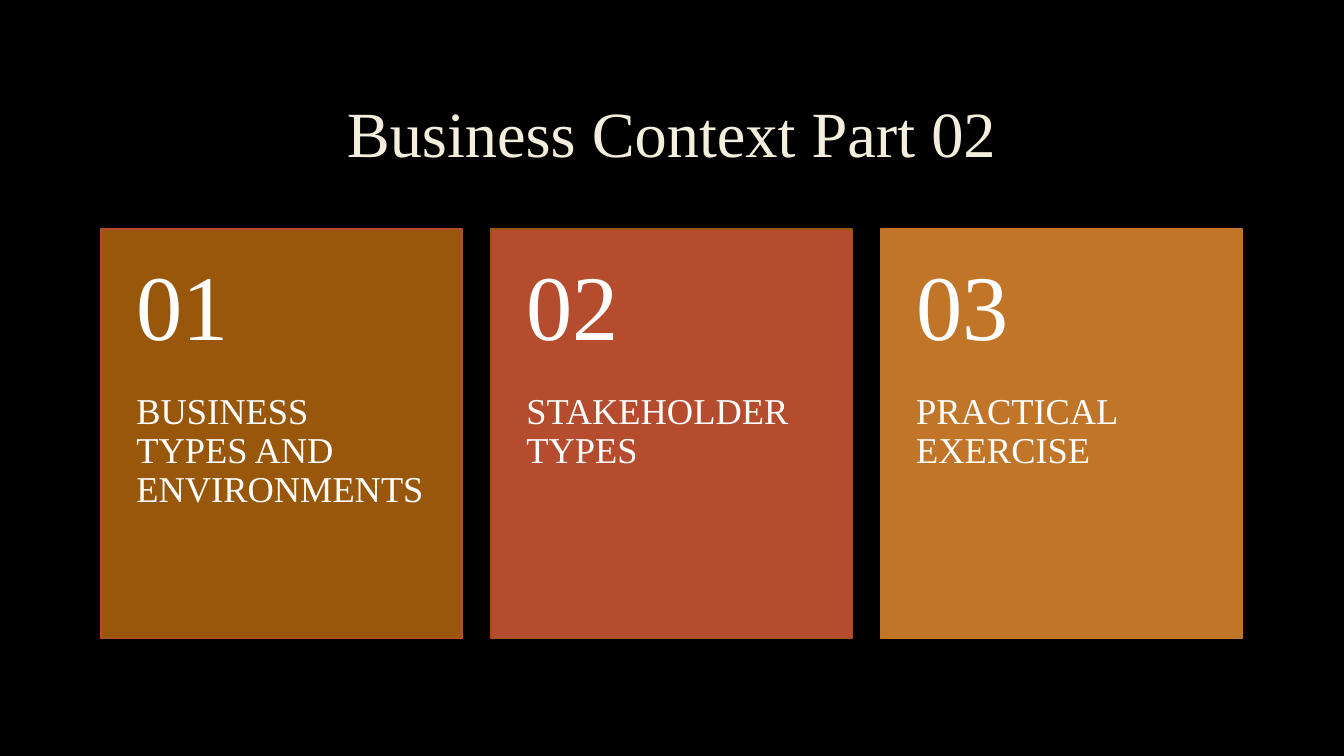
from dataclasses import dataclass

from pptx import Presentation
from pptx.dml.color import RGBColor
from pptx.enum.shapes import MSO_SHAPE
from pptx.enum.text import MSO_ANCHOR, PP_ALIGN
from pptx.util import Pt


@dataclass(frozen=True)
class Theme:
    font: str = "Times New Roman"
    background: str = "000000"
    title: str = "F4EEDC"
    text: str = "FFFFFF"
    brown: str = "99570C"
    red: str = "B54C2D"
    orange: str = "C17529"
    title_size: float = 46
    number_size: float = 66
    label_size: float = 26
    border: float = 1.25


THEME = Theme()

# Number, label, fill, border
CARDS = [
    ("01", "BUSINESS TYPES AND ENVIRONMENTS", THEME.brown, THEME.red),
    ("02", "STAKEHOLDER TYPES", THEME.red, THEME.brown),
    ("03", "PRACTICAL EXERCISE", THEME.orange, THEME.orange),
]


def add_text(s, text, box, *, size, color=THEME.text, align=PP_ALIGN.LEFT,
             anchor=MSO_ANCHOR.TOP, insets=(7.2, 3.6, 7.2, 3.6)):
    sp = s.shapes.add_textbox(*map(Pt, box))
    tf = sp.text_frame
    tf.word_wrap = True
    tf.vertical_anchor = anchor
    tf.margin_left, tf.margin_top, tf.margin_right, tf.margin_bottom = map(Pt, insets)
    p = tf.paragraphs[0]
    p.alignment = align
    p.line_spacing = 0.9
    r = p.add_run()
    r.text = text
    r.font.name = THEME.font
    r.font.size = Pt(size)
    r.font.color.rgb = RGBColor.from_string(color)


def add_title(s, text, box):
    add_text(s, text, box, size=THEME.title_size, color=THEME.title,
             align=PP_ALIGN.CENTER, anchor=MSO_ANCHOR.MIDDLE)


def add_card(s, box, number, label, fill, border):
    left, top, width, height = box
    # Panel
    sp = s.shapes.add_shape(MSO_SHAPE.RECTANGLE, *map(Pt, box))
    sp.shadow.inherit = False
    sp.fill.solid()
    sp.fill.fore_color.rgb = RGBColor.from_string(fill)
    sp.line.color.rgb = RGBColor.from_string(border)
    sp.line.width = Pt(THEME.border)
    # Label in the lower 60 %, number in the upper 40 %
    split = 0.4 * height
    add_text(s, label, (left, top + split, width, height - split),
             size=THEME.label_size, insets=(25.4, 0, 25.4, 26))
    add_text(s, number, (left, top, width, split), size=THEME.number_size,
             anchor=MSO_ANCHOR.MIDDLE, insets=(25.4, 13, 25.4, 13))


def add_card_row(s, box, cards, gap):
    left, top, width, height = box
    card_width = (width - gap * (len(cards) - 1)) / len(cards)
    for i, card in enumerate(cards):
        x = left + i * (card_width + gap)
        add_card(s, (x, top, card_width, height), *card)


def main():
    prs = Presentation()
    prs.slide_width, prs.slide_height = Pt(960), Pt(540)
    s = prs.slides.add_slide(prs.slide_layouts[6])
    s.background.fill.solid()
    s.background.fill.fore_color.rgb = RGBColor.from_string(THEME.background)
    add_title(s, "Business Context Part 02", (72, 48, 815, 99.5))
    add_card_row(s, (72, 163.5, 815, 292.5), CARDS, gap=20.6)
    prs.save("out.pptx")


if __name__ == "__main__":
    main()
